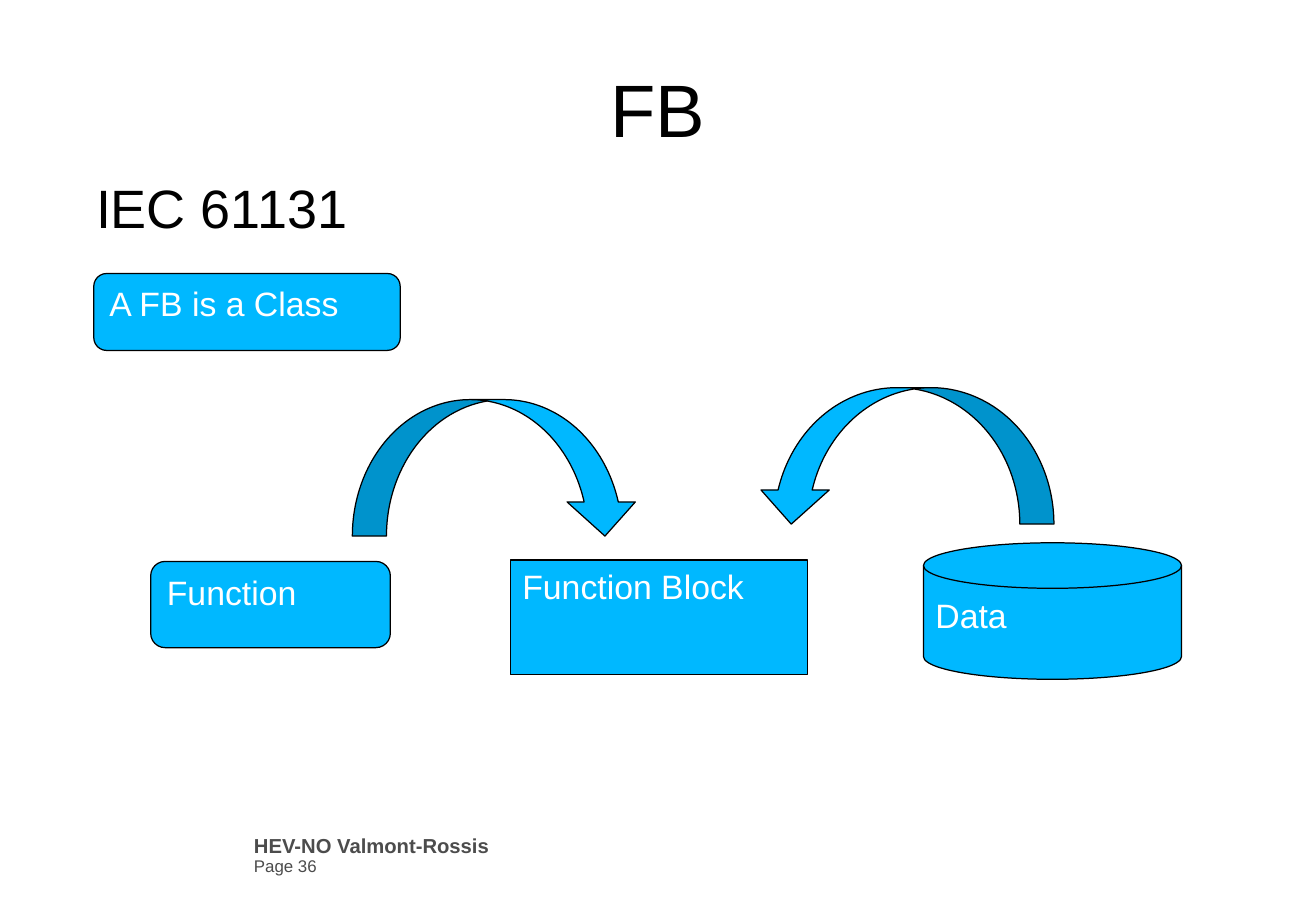
import pptx
import pptx.util
import pptx.dml.color
import pptx.enum.shapes
import pptx.enum.text

Pt = pptx.util.Pt
Kind = pptx.enum.shapes.MSO_SHAPE
Align = pptx.enum.text.PP_ALIGN
Anchor = pptx.enum.text.MSO_ANCHOR

# Content: boxes are left, top, width, height in points
SIZE = (779.76, 540)
FONT = "Arial"
COLORS = {"fill": "00B8FF", "line": "000000", "text": "000000",
          "label": "FFFFFF", "foot": "4C4C4C"}
TITLE = ("FB", (38.9, 21.6, 702, 90))
BODY = ("IEC 61131", (49.7, 103, 345.6, 377.3))
FOOT = ([("HEV-NO Valmont-Rossis", 12, True), ("Page 36", 10, False)],
        (150.5, 495.4, 212.4, 20.2))
NODES = [
    ("Data", Kind.FLOWCHART_MAGNETIC_DISK, (547.2, 321.8, 152.9, 80.9)),
    ("Function", Kind.FLOWCHART_ALTERNATE_PROCESS, (89.3, 332.8, 142, 51.1)),
    ("Function Block", Kind.FLOWCHART_PROCESS, (302.4, 332, 175.9, 67.9)),
    ("A FB is a Class", Kind.ROUNDED_RECTANGLE, (55.6, 162.1, 181.6, 45.6)),
]
ARROWS = [  # box, mirrored
    ((208.8, 236.9, 169.9, 80.9), False),
    ((448.6, 229.8, 175.9, 80.9), True),
]


def color(name):
    return pptx.dml.color.RGBColor.from_string(COLORS[name])


def style(para, size, name, bold=False):
    for run in para.runs:
        run.font.name = FONT
        run.font.size = Pt(size)
        run.font.bold = bold
        run.font.color.rgb = color(name)


def place(shape, box):
    shape.left, shape.top, shape.width, shape.height = map(Pt, box)


def trim(frame):
    frame.margin_left = frame.margin_right = 0
    frame.margin_top = frame.margin_bottom = 0
    frame.word_wrap = True


def draw(kind, box):
    shape = slide.shapes.add_shape(kind, *map(Pt, box))
    shape.shadow.inherit = False
    shape.fill.solid()
    shape.fill.fore_color.rgb = color("fill")
    shape.line.color.rgb = color("line")
    shape.line.width = Pt(0.75)
    return shape


deck = pptx.Presentation()
deck.slide_width, deck.slide_height = map(Pt, SIZE)
slide = deck.slides.add_slide(deck.slide_layouts[1])

# Title
title = slide.shapes.title
place(title, TITLE[1])
frame = title.text_frame
frame.text = TITLE[0]
trim(frame)
frame.vertical_anchor = Anchor.MIDDLE
para = frame.paragraphs[0]
para.alignment = Align.CENTER
para.line_spacing = 0.93
style(para, 44, "text")

# Body with a hanging indent and no bullet
body = slide.placeholders[1]
place(body, BODY[1])
body.text_frame.text = BODY[0]
para = body.text_frame.paragraphs[0]
para.line_spacing = 0.93
para.space_before = Pt(0)
para.space_after = Pt(14.2)
style(para, 32, "text")
props = para._p.get_or_add_pPr()
props.set("marL", str(Pt(27)))
props.set("indent", str(Pt(-27)))
props.append(pptx.oxml.parse_xml(
    '<a:buNone xmlns:a='
    '"http://schemas.openxmlformats.org/drawingml/2006/main"/>'))

# Labelled nodes
for text, kind, box in NODES:
    frame = draw(kind, box).text_frame
    frame.text = text
    frame.word_wrap = True
    frame.vertical_anchor = Anchor.TOP
    frame.paragraphs[0].alignment = Align.LEFT
    style(frame.paragraphs[0], 20, "label")

# Curved arrows
for box, mirror in ARROWS:
    arrow = draw(Kind.CURVED_DOWN_ARROW, box)
    if mirror:
        arrow._element.spPr.xfrm.set("flipH", "1")

# Footer
lines, box = FOOT
frame = slide.shapes.add_textbox(*map(Pt, box)).text_frame
trim(frame)
frame.text = "\n".join(line[0] for line in lines)
for para, (text, size, bold) in zip(frame.paragraphs, lines):
    para.line_spacing = 0.9
    style(para, size, "foot", bold)

deck.save("out.pptx")
